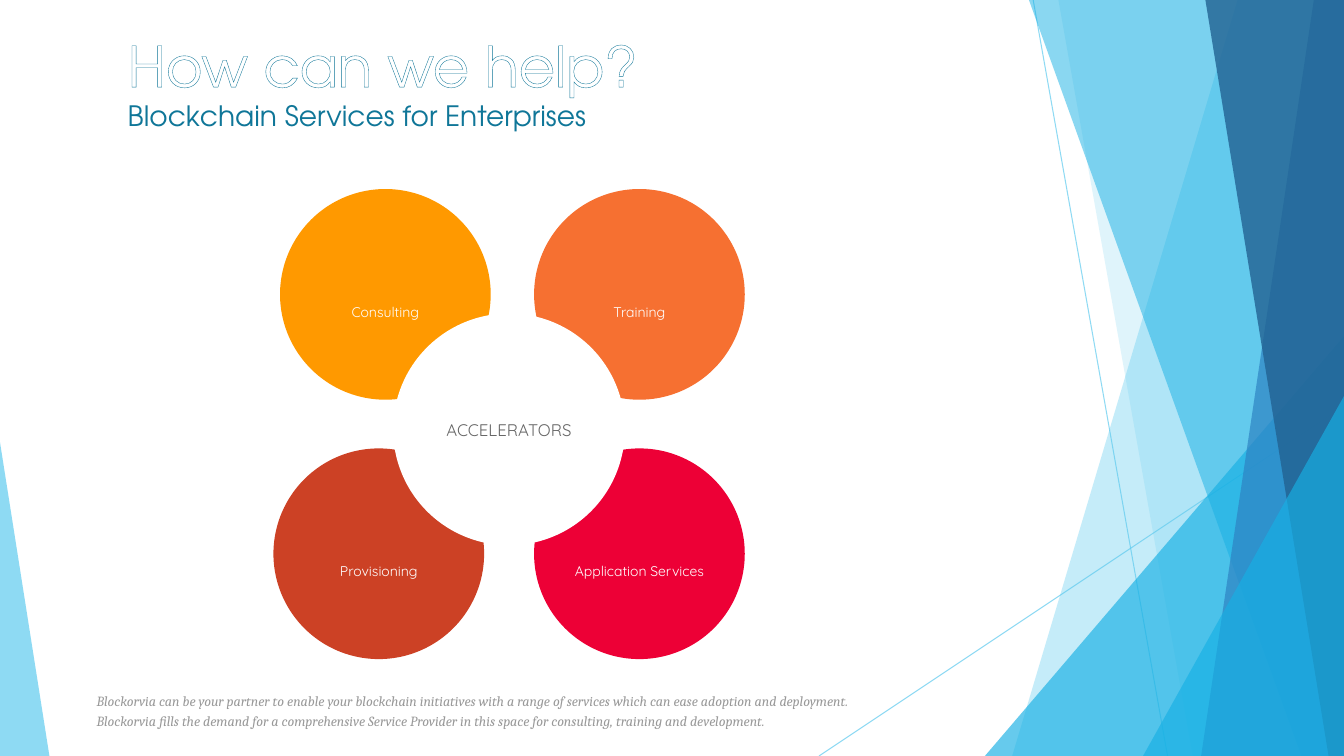
from lxml import etree
from pptx import Presentation
from pptx.dml.color import RGBColor
from pptx.enum.shapes import MSO_CONNECTOR, MSO_SHAPE
from pptx.enum.text import MSO_ANCHOR, PP_ALIGN
from pptx.oxml.ns import qn
from pptx.util import Pt

STRAIGHT = MSO_CONNECTOR.STRAIGHT
OVAL = MSO_SHAPE.OVAL
TRIANGLE = MSO_SHAPE.ISOSCELES_TRIANGLE
MIDDLE = MSO_ANCHOR.MIDDLE
CENTER = PP_ALIGN.CENTER

WIDTH, HEIGHT = 960, 540
COLORS = {
    "white": "FFFFFF", "sky": "5FCBEF", "cyan": "17B0E4", "blue": "2E83C3",
    "navy": "226292", "teal": "0F7698", "gray": "999999", "dark_gray": "666666",
    "amber": "FF9900", "orange": "F67031", "rust": "CC4125", "red": "ED0036",
}


def paint(fill, color, opacity=100):
    fill.solid()
    fill.fore_color.rgb = RGBColor.from_string(COLORS[color])
    if opacity < 100:
        for element in fill._xPr.iter(qn("a:srgbClr")):
            etree.SubElement(element, qn("a:alpha"), val=str(opacity * 1000))


def add_circle(left, top, size, color, label, font_size, font_color, drop):
    circle = slide.shapes.add_shape(OVAL, Pt(left), Pt(top), Pt(size), Pt(size))
    circle.shadow.inherit = False
    circle.line.fill.background()
    paint(circle.fill, color)
    frame = circle.text_frame
    frame.word_wrap = True
    frame.vertical_anchor = MIDDLE
    frame.margin_left = frame.margin_right = frame.margin_bottom = Pt(7.2)
    frame.margin_top = Pt(7.2 + drop)
    paragraph = frame.paragraphs[0]
    paragraph.text = label
    paragraph.alignment = CENTER
    paragraph.font.name = "Quicksand"
    paragraph.font.size = Pt(font_size)
    paragraph.font.color.rgb = RGBColor.from_string(COLORS[font_color])


presentation = Presentation()
presentation.slide_width = Pt(WIDTH)
presentation.slide_height = Pt(HEIGHT)
slide = presentation.slides.add_slide(presentation.slide_layouts[6])

for start_x, start_y, end_x in [(738, 0, 834), (WIDTH, 290, 585)]:
    connector = slide.shapes.add_connector(
        STRAIGHT, Pt(start_x), Pt(start_y), Pt(end_x), Pt(HEIGHT))
    connector.line.width = Pt(0.75)
    paint(connector.line.fill, "sky", 70)
    etree.SubElement(connector._element.spPr, qn("a:effectLst"))

facets = [
    ("band", (884, 723), "sky", 36),
    ("band", (756, 852), "sky", 20),
    ("triangle", (703.5, 240, 256.5, 1), "cyan", 66),
    ("band", (735, 929.5), "cyan", 50),
    ("band", (938.5, 858), "blue", 70),
    ("band", (861, 949), "navy", 80),
    ("triangle", (816.5, 283, 143.5, 1), "cyan", 66),
    ("triangle", (0, 316, 35.3, 0), "sky", 70),
]
for kind, geometry, color, opacity in facets:
    if kind == "band":
        top_x, bottom_x = geometry
        builder = slide.shapes.build_freeform(Pt(top_x), Pt(0))
        builder.add_line_segments(
            [(Pt(WIDTH), Pt(0)), (Pt(WIDTH), Pt(HEIGHT)), (Pt(bottom_x), Pt(HEIGHT))])
        facet = builder.convert_to_shape()
    else:
        left, top, width, apex = geometry
        facet = slide.shapes.add_shape(
            TRIANGLE, Pt(left), Pt(top), Pt(width), Pt(HEIGHT - top))
        facet.adjustments[0] = apex
    facet.shadow.inherit = False
    facet.line.fill.background()
    paint(facet.fill, color, opacity)

title = slide.shapes.add_textbox(Pt(84.2), Pt(18.7), Pt(828), Pt(104.4))
title.text_frame.word_wrap = True
paragraph = title.text_frame.paragraphs[0]
heading = paragraph.add_run()
heading.text = "How can we help?"
paragraph.add_line_break()
subheading = paragraph.add_run()
subheading.text = "Blockchain Services for Enterprises"
for run, size, color in [(heading, 40, "white"), (subheading, 20, "teal")]:
    run.font.name = "TeX Gyre Adventor"
    run.font.size = Pt(size)
    run.font.color.rgb = RGBColor.from_string(COLORS[color])
outline = etree.Element(qn("a:ln"), w=str(Pt(1.5)))
outline_fill = etree.SubElement(outline, qn("a:solidFill"))
etree.SubElement(outline_fill, qn("a:srgbClr"), val=COLORS["teal"])
heading.font._element.insert(0, outline)

footer = slide.shapes.add_textbox(Pt(62), Pt(486), Pt(752.4), Pt(54))
frame = footer.text_frame
frame.word_wrap = True
frame.margin_left = frame.margin_right = frame.margin_top = frame.margin_bottom = Pt(7.2)
frame.text = (
    "Blockorvia can be your partner to enable your blockchain initiatives with a range "
    "of services which can ease adoption and deployment.\n"
    "Blockorvia fills the demand for a comprehensive Service Provider in this space for "
    "consulting, training and development."
)
for paragraph in frame.paragraphs:
    paragraph.line_spacing = 1.15
    paragraph.font.name = "Cambria"
    paragraph.font.size = Pt(10)
    paragraph.font.italic = True
    paragraph.font.color.rgb = RGBColor.from_string(COLORS["gray"])

services = [
    (200, 135, "amber", "Consulting"),
    (381.5, 135, "orange", "Training"),
    (195.3, 320.3, "rust", "Provisioning"),
    (381.5, 320.3, "red", "Application Services"),
]
for left, top, color, label in services:
    add_circle(left, top, 150.5, color, label, 10, "white", 25)
add_circle(280.8, 223.9, 165.6, "white", "ACCELERATORS", 12, "dark_gray", 0)

presentation.save("out.pptx")
